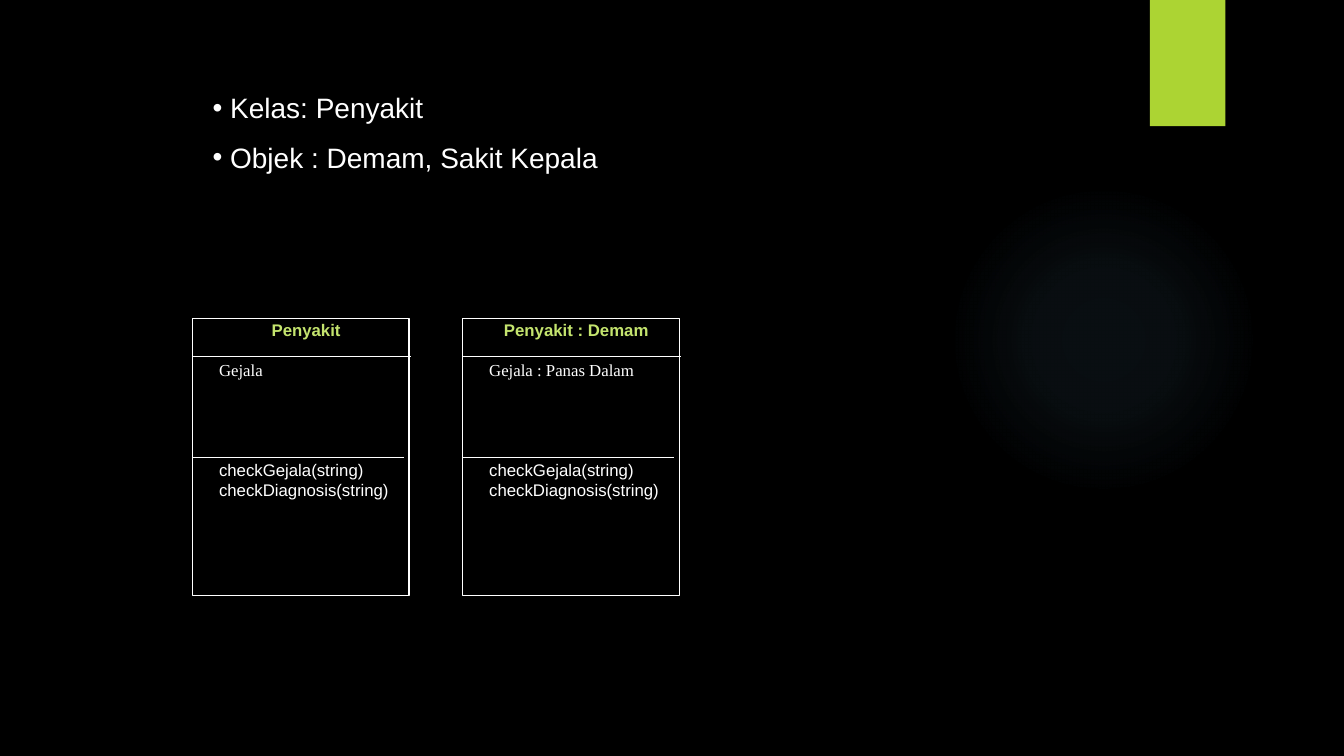
from dataclasses import dataclass

from lxml.etree import SubElement
from pptx import Presentation
from pptx.dml.color import RGBColor
from pptx.enum.shapes import MSO_CONNECTOR, MSO_SHAPE
from pptx.enum.text import PP_ALIGN
from pptx.oxml import parse_xml
from pptx.oxml.ns import nsdecls, qn
from pptx.util import Cm, Pt


@dataclass(frozen=True)
class Theme:
    """Colours, fonts and sizes of the slide."""

    background: str = "000000"
    ink: str = "FFFFFF"
    accent: str = "ACD433"
    heading: str = "C4E46E"
    glow: str = "7AC4F0"
    sans: str = "Arial"
    serif: str = "Times New Roman"
    bullet_size: float = 20
    label_size: float = 12
    line_width: float = 1


class ClassSlide:
    """Draws the elements of a class diagram on one slide."""

    def __init__(self, slide, theme):
        self.shapes = slide.shapes
        self.theme = theme
        fill = slide.background.fill
        fill.solid()
        fill.fore_color.rgb = RGBColor.from_string(theme.background)

    def shape(self, kind, left, top, width, height):
        """Add a preset shape without shadow or line."""
        shape = self.shapes.add_shape(kind, Cm(left), Cm(top), Cm(width), Cm(height))
        shape.shadow.inherit = False
        shape.line.fill.background()
        return shape

    def glow(self, left, top, size, stops):
        """Add a circle that fades out through (position, opacity) stops."""
        shape = self.shape(MSO_SHAPE.OVAL, left, top, size, size)
        steps = "".join(
            f'<a:gs pos="{position * 1000}"><a:srgbClr val="{self.theme.glow}">'
            f'<a:alpha val="{opacity * 1000}"/></a:srgbClr></a:gs>'
            for position, opacity in stops
        )
        gradient = parse_xml(
            f'<a:gradFill {nsdecls("a")} rotWithShape="1"><a:gsLst>{steps}</a:gsLst>'
            '<a:path path="circle"><a:fillToRect l="50000" t="50000" r="50000" b="50000"/>'
            "</a:path></a:gradFill>"
        )
        shape._element.spPr.find(qn("a:prstGeom")).addnext(gradient)

    def block(self, left, top, width, height):
        """Add a rectangle in the accent colour."""
        shape = self.shape(MSO_SHAPE.RECTANGLE, left, top, width, height)
        shape.fill.solid()
        shape.fill.fore_color.rgb = RGBColor.from_string(self.theme.accent)

    def stroke(self, line):
        """Style a line in the ink colour."""
        line.color.rgb = RGBColor.from_string(self.theme.ink)
        line.width = Pt(self.theme.line_width)

    def frame(self, left, top, width, height):
        """Add an unfilled outline."""
        shape = self.shape(MSO_SHAPE.RECTANGLE, left, top, width, height)
        shape.fill.background()
        self.stroke(shape.line)

    def rule(self, left, top, width):
        """Add a horizontal line."""
        connector = self.shapes.add_connector(
            MSO_CONNECTOR.STRAIGHT, Cm(left), Cm(top), Cm(left + width), Cm(top)
        )
        self.stroke(connector.line)
        SubElement(connector._element.spPr, qn("a:effectLst"))

    def text_frame(self, left, top, width, height, margin):
        """Add a wrapping text box and return its frame."""
        box = self.shapes.add_textbox(Cm(left), Cm(top), Cm(width), Cm(height))
        frame = box.text_frame
        frame.word_wrap = True
        frame.margin_left = frame.margin_right = Cm(margin)
        frame.margin_top = frame.margin_bottom = Cm(min(margin, 0.13))
        return frame

    def paragraph(self, frame, text, size, before=0, font=None, color=None):
        """Write the next paragraph of a frame."""
        first = frame.paragraphs[0]
        paragraph = frame.add_paragraph() if first.runs else first
        paragraph.add_run().text = text
        paragraph.space_before = Pt(before)
        paragraph.font.size = Pt(size)
        paragraph.font.name = font or self.theme.sans
        paragraph.font.color.rgb = RGBColor.from_string(color or self.theme.ink)
        return paragraph

    def bullets(self, left, top, width, height, items):
        """Add a bulleted list."""
        frame = self.text_frame(left, top, width, height, 0.25)
        for index, item in enumerate(items):
            before = 11.5 if index else 0
            paragraph = self.paragraph(frame, item, self.theme.bullet_size, before)
            properties = paragraph._p.get_or_add_pPr()
            properties.set("marL", str(Cm(0.44)))
            properties.set("indent", str(-Cm(0.44)))
            SubElement(properties, qn("a:buFont")).set("typeface", self.theme.sans)
            SubElement(properties, qn("a:buChar")).set("char", "•")

    def class_box(self, left, top, name, attribute, methods):
        """Add a box with a name, an attribute and methods."""
        theme = self.theme
        size = theme.label_size
        frame = self.text_frame(left + 0.64, top, 4.45, 3.5, 0.03)
        title = self.paragraph(frame, name, size, color=theme.heading)
        title.alignment = PP_ALIGN.CENTER
        title.font.bold = True
        self.paragraph(frame, attribute, size, 14, theme.serif)
        for index, method in enumerate(methods):
            self.paragraph(frame, method, size, 0 if index else 57)
        self.frame(left, top, 5.46, 6.98)
        self.rule(left, top + 3.5, 5.33)
        self.rule(left, top + 0.96, 5.51)


def main():
    """Build and save the slide."""
    presentation = Presentation()
    presentation.slide_width = Cm(33.87)
    presentation.slide_height = Cm(19.05)
    slide = presentation.slides.add_slide(presentation.slide_layouts[6])
    diagram = ClassSlide(slide, Theme())
    diagram.glow(23.9, 4.65, 7.82, [(0, 7), (36, 6), (69, 0)])
    diagram.block(28.98, 0, 1.9, 3.18)
    diagram.bullets(
        5.11, 2.16, 20.52, 2.39, ["Kelas: Penyakit", "Objek : Demam, Sakit Kepala"]
    )
    methods = ["checkGejala(string)", "checkDiagnosis(string)"]
    classes = [("Penyakit", "Gejala"), ("Penyakit : Demam", "Gejala : Panas Dalam")]
    for index, (name, attribute) in enumerate(classes):
        diagram.class_box(4.85 + 6.81 * index, 8.03, name, attribute, methods)
    presentation.save("out.pptx")


if __name__ == "__main__":
    main()
